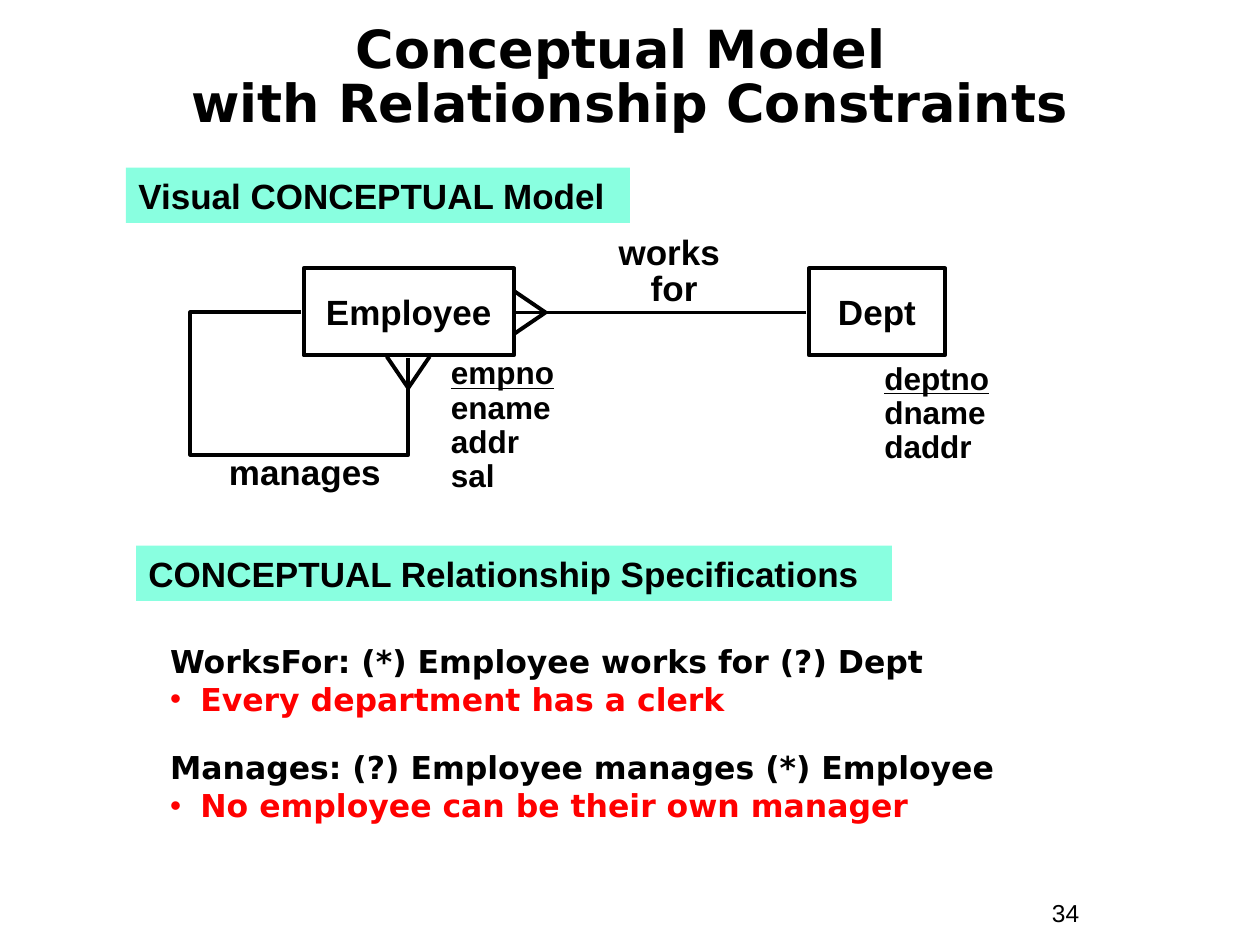
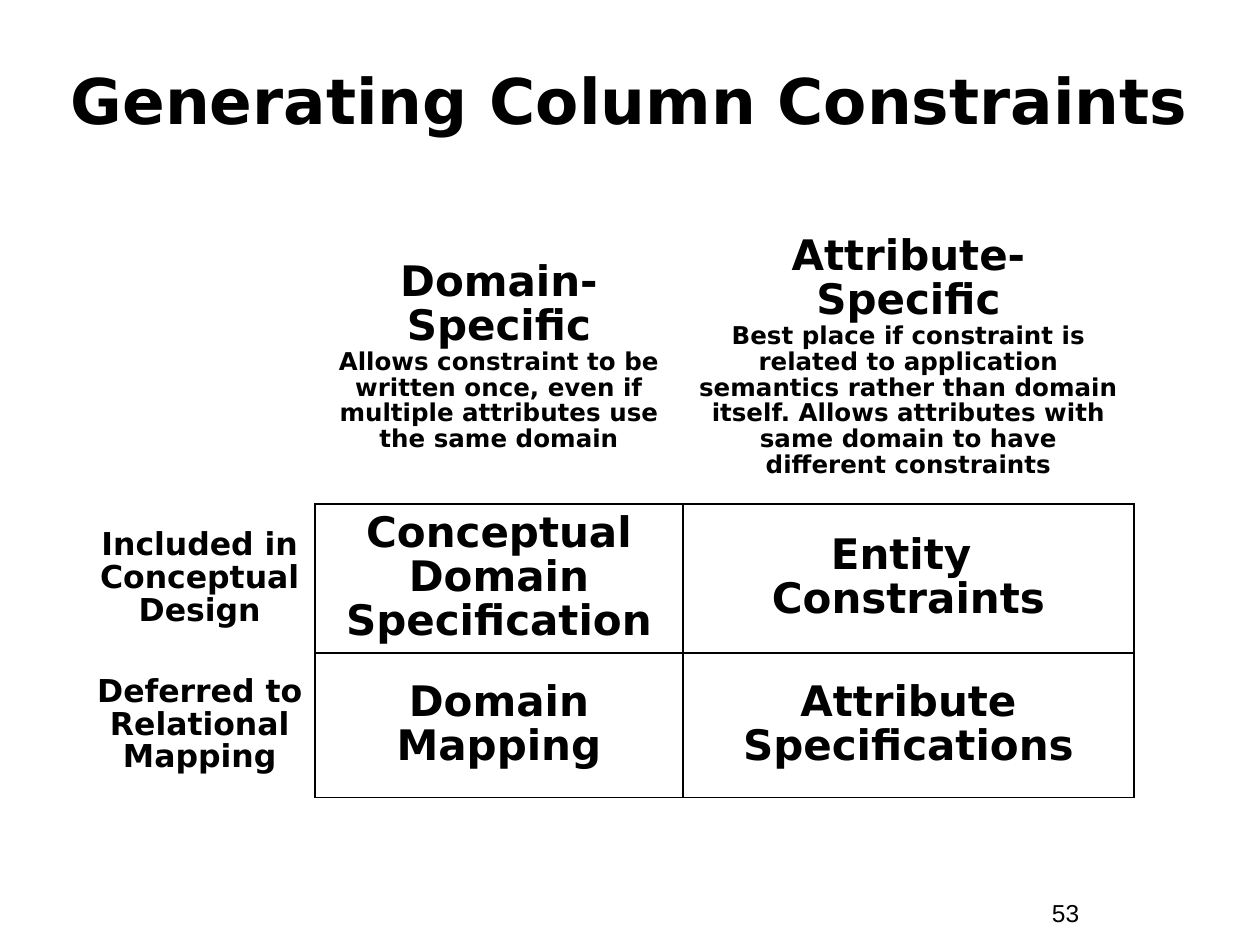
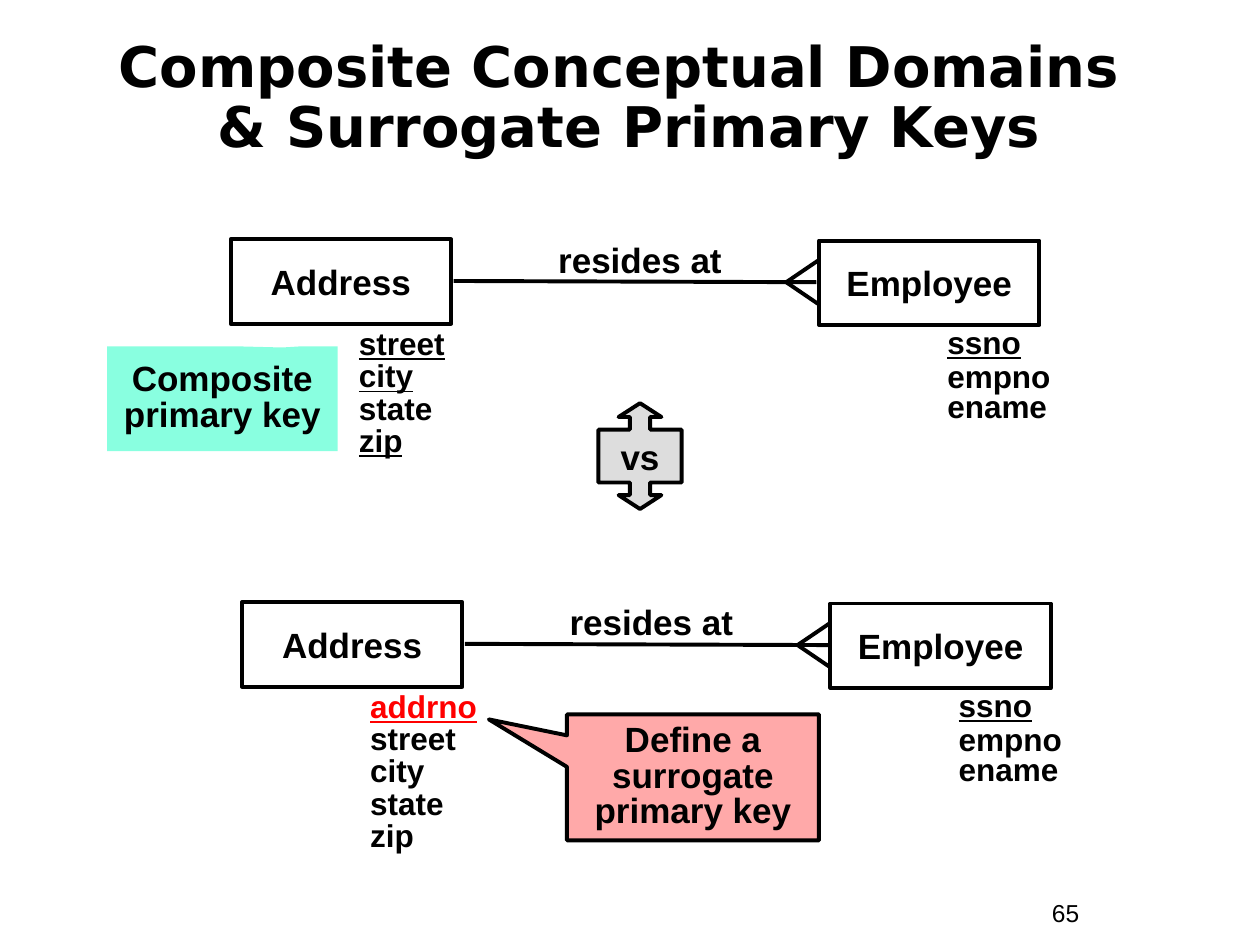
from copy import deepcopy

from lxml.etree import SubElement
from pptx import Presentation
from pptx.dml.color import RGBColor
from pptx.enum.shapes import MSO_CONNECTOR, MSO_SHAPE
from pptx.enum.text import MSO_ANCHOR, MSO_AUTO_SIZE, PP_ALIGN
from pptx.oxml.ns import qn
from pptx.util import Inches, Pt

COLORS = {"ink": "000000", "mint": "89FFE0", "red": "FF0000",
          "pink": "FFA9A9", "grey": "DDDDDD"}
LABEL = {"name": "Arial", "size": Pt(20), "bold": True}
ATTRIBUTE = {**LABEL, "size": Pt(18)}
HEADING = {"name": "DejaVu Sans", "bold": True}
NUMBER = {"name": "Arial", "size": Pt(14), "bold": False}
LINE_WIDTH = Pt(2.25)
BORDER_WIDTH = Pt(1.08)
FOOT_LENGTH, FOOT_SPREAD = 0.25, 0.17
BULLET_INDENT = 0.24


def rgb(name):
    return RGBColor.from_string(COLORS[name])


def box(x, y, w, h):
    return [Inches(v) for v in (x, y, w, h)]


def write(p, text, fmt, color="ink", align=PP_ALIGN.LEFT, spacing=1.0, before=0):
    """Add text to a paragraph, with a line break at each newline."""
    for name, value in {"alignment": align, "line_spacing": spacing,
                        "space_before": Pt(before)}.items():
        setattr(p, name, value)
    for i, part in enumerate(text.split("\n")):
        if i:
            p.add_line_break()
            p._p[-1].append(deepcopy(r._r.rPr))
        r = p.add_run()
        r.text = part
        for name, value in fmt.items():
            setattr(r.font, name, value)
        r.font.color.rgb = rgb(color)


def next_paragraph(tf, i):
    return tf.add_paragraph() if i else tf.paragraphs[0]


def place(sp, x, y, w, h):
    for name, value in zip(("left", "top", "width", "height"), box(x, y, w, h)):
        setattr(sp, name, value)


def add_slide(prs, layout, title, number, size, title_box, spacing):
    s = prs.slides.add_slide(prs.slide_layouts.get_by_name(layout))
    place(s.shapes.title, *title_box)
    tf = s.shapes.title.text_frame
    tf.auto_size = MSO_AUTO_SIZE.NONE
    tf.vertical_anchor = MSO_ANCHOR.MIDDLE
    write(tf.paragraphs[0], title, {**HEADING, "size": Pt(size)},
          align=PP_ALIGN.CENTER, spacing=spacing)
    add_label(s, str(number), (8.25, 7.08, 0.92, 0.34), NUMBER, PP_ALIGN.LEFT)
    return s


def add_label(s, text, area, fmt=LABEL, align=PP_ALIGN.CENTER, spacing=1.0):
    tf = s.shapes.add_textbox(*box(*area)).text_frame
    tf.word_wrap = True
    write(tf.paragraphs[0], text, fmt, align=align, spacing=spacing)


def style_shape(sp, text, fill=None, outline=True, wrap=True,
                align=PP_ALIGN.CENTER, spacing=1.0):
    sp.shadow.inherit = False
    if fill:
        sp.fill.solid()
        sp.fill.fore_color.rgb = rgb(fill)
    else:
        sp.fill.background()
    if outline:
        sp.line.color.rgb = rgb("ink")
        sp.line.width = LINE_WIDTH
    else:
        sp.line.fill.background()
    tf = sp.text_frame
    tf.word_wrap = wrap
    tf.vertical_anchor = MSO_ANCHOR.MIDDLE
    write(tf.paragraphs[0], text, LABEL, align=align, spacing=spacing)


def add_entity(s, text, area):
    sp = s.shapes.add_shape(MSO_SHAPE.RECTANGLE, *box(*area))
    style_shape(sp, text, wrap=False)


def add_band(s, text, area):
    sp = s.shapes.add_shape(MSO_SHAPE.RECTANGLE, *box(*area))
    style_shape(sp, text, "mint", outline=False, align=PP_ALIGN.LEFT)


def add_callout(s, text, area, tip, fill, outline=True):
    sp = s.shapes.add_shape(MSO_SHAPE.RECTANGULAR_CALLOUT, *box(*area))
    for i, value in enumerate(tip):
        sp.adjustments[i] = value
    style_shape(sp, text, fill, outline, spacing=0.85)


def add_line(s, start, end, kind=MSO_CONNECTOR.STRAIGHT):
    line = s.shapes.add_connector(kind, *box(*start, *end))
    line.line.color.rgb = rgb("ink")
    line.line.width = LINE_WIDTH
    SubElement(line._element.spPr, qn("a:effectLst"))
    return line


def add_loop(s, start, end, left, bottom):
    """Connect start to end by way of the given left and bottom edges."""
    line = add_line(s, start, end, MSO_CONNECTOR.ELBOW)
    geom = line._element.spPr.find(qn("a:prstGeom"))
    geom.set("prst", "bentConnector4")
    guides = geom.find(qn("a:avLst"))
    if guides is None:
        guides = SubElement(geom, qn("a:avLst"))
    (x1, y1), (x2, y2) = start, end
    bends = ((left - x1) / (x2 - x1), (bottom - y1) / (y2 - y1))
    for i, bend in enumerate(bends, 1):
        SubElement(guides, qn("a:gd"), name=f"adj{i}", fmla=f"val {round(bend * 100000)}")


def add_crows_foot(s, tip, dx, dy):
    """Spread two toes from the tip in the direction (dx, dy)."""
    x, y = tip
    for side in (-FOOT_SPREAD, FOOT_SPREAD):
        add_line(s, tip, (x + dx * FOOT_LENGTH + dy * side,
                          y + dy * FOOT_LENGTH + dx * side))


def add_attributes(s, area, names, keys, spacing=0.9, last_spacing=None, key_color="ink"):
    tf = s.shapes.add_textbox(*box(*area)).text_frame
    tf.word_wrap = True
    for i, name in enumerate(names):
        is_key = name in keys
        is_last = i == len(names) - 1
        write(next_paragraph(tf, i), name, {**ATTRIBUTE, "underline": is_key},
              key_color if is_key else "ink",
              spacing=last_spacing if is_last and last_spacing else spacing)


def set_bullet(p, color=None):
    pPr = p._p.get_or_add_pPr()
    indent = Inches(BULLET_INDENT) if color else 0
    pPr.set("marL", str(indent))
    pPr.set("indent", str(-indent))
    if color:
        SubElement(SubElement(pPr, qn("a:buClr")), qn("a:srgbClr"), val=COLORS[color])
        SubElement(pPr, qn("a:buChar"), char="•")
    else:
        SubElement(pPr, qn("a:buNone"))


def add_rules(s, area, rules):
    """Fill the body with each relationship and its red constraint."""
    body = s.placeholders[1]
    place(body, *area)
    tf = body.text_frame
    tf.auto_size = MSO_AUTO_SIZE.NONE
    fmt = {**HEADING, "size": Pt(18)}
    for i, (relationship, constraint) in enumerate(rules):
        p = next_paragraph(tf, i)
        set_bullet(p)
        write(p, relationship, fmt, spacing=0.85, before=20.5 if i else 0)
        p = tf.add_paragraph()
        set_bullet(p, "red")
        write(p, constraint, fmt, "red", spacing=0.85, before=3.4)


def set_borders(cell, **edges):
    tcPr = cell._tc.get_or_add_tcPr()
    for side in "LRTB":
        ln = SubElement(tcPr, qn(f"a:ln{side}"), w=str(BORDER_WIDTH))
        if edges[side]:
            SubElement(SubElement(ln, qn("a:solidFill")), qn("a:srgbClr"), val=COLORS["ink"])
        else:
            SubElement(ln, qn("a:noFill"))


def add_matrix(s, x, y, widths, heights, rows):
    """Add a table with a ruled grid inside unruled row and column heads."""
    frame = s.shapes.add_table(len(heights), len(widths),
                               *box(x, y, sum(widths), sum(heights)))
    table = frame.table
    table.first_row = table.horz_banding = False
    for col, w in zip(table.columns, widths):
        col.width = Inches(w)
    for row, h in zip(table.rows, heights):
        row.height = Inches(h)
    for i, row in enumerate(rows):
        for j, parts in enumerate(row):
            cell = table.cell(i, j)
            in_grid = i > 0 and j > 0
            set_borders(cell, L=in_grid, R=i > 0, T=in_grid, B=j > 0)
            cell.fill.background()
            cell.vertical_anchor = MSO_ANCHOR.MIDDLE
            for text, size in parts:
                write(cell.text_frame.paragraphs[0], text,
                      {**HEADING, "size": Pt(size)}, align=PP_ALIGN.CENTER, spacing=0.9)


def add_vs_arrow(s, cx, cy):
    quarter = [(0, -0.42), (0.17, -0.31), (0.08, -0.31), (0.08, -0.21), (0.33, -0.21)]
    right = quarter + [(x, -y) for x, y in reversed(quarter)]
    outline = right + [(-x, y) for x, y in reversed(right[1:-1])]
    points = [(Inches(cx + x), Inches(cy + y)) for x, y in outline]
    builder = s.shapes.build_freeform(*points[0], scale=1.0)
    builder.add_line_segments(points[1:], close=True)
    style_shape(builder.convert_to_shape(), "vs", "grey", wrap=False)


def add_residence(s, x, y, names, keys, height, key_color="ink"):
    """Draw Address and Employee with their link, from the corner of Address."""
    add_entity(s, "Address", (x, y, 1.75, 0.67))
    add_entity(s, "Employee", (x + 4.67, y + 0.01, 1.75, 0.67))
    add_line(s, (x + 1.77, y + 0.33), (x + 4.65, y + 0.34))
    add_crows_foot(s, (x + 4.41, y + 0.34), 1, 0)
    add_label(s, "resides at", (x + 2.25, y - 0.06, 2, 0.44))
    add_attributes(s, (x + 5.59, y + 0.65, 1.33, 0.87), ["ssno", "empno", "ename"],
                   ["ssno"], last_spacing=0.75)
    add_attributes(s, (x + 0.92, y + 0.67, 1.17, height), names, keys,
                   spacing=0.85, key_color=key_color)


def build_model(prs):
    s = add_slide(prs, "Title and Content",
                  "Conceptual Model \nwith Relationship Constraints",
                  34, 30, (0.25, 0.38, 9.5, 0.5), 0.85)
    add_band(s, "Visual CONCEPTUAL Model", (1, 1.33, 4, 0.44))
    add_entity(s, "Employee", (2.41, 2.13, 1.67, 0.69))
    add_entity(s, "Dept", (6.42, 2.13, 1.08, 0.69))
    add_line(s, (6.4, 2.48), (4.09, 2.48))
    add_crows_foot(s, (4.33, 2.48), -1, 0)
    add_label(s, "works \nfor", (4.56, 1.83, 1.58, 0.67), spacing=0.85)
    add_loop(s, (2.39, 2.48), (3.24, 2.84), left=1.51, bottom=3.61)
    add_crows_foot(s, (3.24, 3.08), 0, -1)
    add_label(s, "manages", (1.67, 3.53, 1.5, 0.44))
    add_attributes(s, (3.48, 2.79, 1.42, 1.18), ["empno", "ename", "addr", "sal"], ["empno"])
    add_attributes(s, (6.92, 2.83, 1.42, 0.91), ["deptno", "dname", "daddr"], ["deptno"])
    add_band(s, "CONCEPTUAL Relationship Specifications", (1.08, 4.33, 6, 0.44))
    add_rules(s, (1.25, 5.09, 7.17, 1.8), [
        ("WorksFor: (*) Employee works for (?) Dept", "Every department has a clerk"),
        ("Manages: (?) Employee manages (*) Employee",
         "No employee can be their own manager"),
    ])


def build_columns(prs):
    s = add_slide(prs, "Title Only", "Generating Column Constraints",
                  53, 36, (0.33, 0.33, 9.33, 0.92), 1.0)
    add_matrix(s, 0.67, 1.67, [1.83, 2.92, 3.58], [2.33, 1.18, 1.15], [
        [[],
         [("Domain-Specific\n", 24),
          ("Allows constraint to be written once, even if multiple attributes "
           "use the same domain", 14)],
         [("Attribute-\nSpecific\n", 24),
          ("Best place if constraint is related to application semantics rather "
           "than domain itself. Allows attributes with same domain to have "
           "different constraints", 14)]],
        [[("Included in Conceptual\nDesign", 18)],
         [("Conceptual Domain\nSpecification", 24)],
         [("Entity \nConstraints", 24)]],
        [[("Deferred to Relational Mapping", 18)],
         [("Domain\nMapping", 24)],
         [("Attribute\nSpecifications", 24)]],
    ])


def build_keys(prs):
    s = add_slide(prs, "Title Only",
                  "Composite Conceptual Domains \n& Surrogate Primary Keys",
                  65, 32, (0.33, 0.33, 9.33, 0.92), 0.9)
    address = ["street", "city", "state", "zip"]
    add_residence(s, 1.83, 1.9, address, ["street", "city", "zip"], 1.12)
    add_residence(s, 1.92, 4.78, ["addrno"] + address, ["addrno"], 1.38, "red")
    add_vs_arrow(s, 5.08, 3.62)
    add_callout(s, "Define a surrogate primary key", (4.5, 5.67, 2, 1),
                (-0.81, -0.46), "pink")
    add_callout(s, "Composite primary key", (0.85, 2.75, 1.83, 0.83),
                (0.26, -0.49), "mint", outline=False)


def main():
    prs = Presentation()
    prs.slide_width, prs.slide_height = Inches(10), Inches(7.5)
    build_model(prs)
    build_columns(prs)
    build_keys(prs)
    prs.save("out.pptx")


if __name__ == "__main__":
    main()
